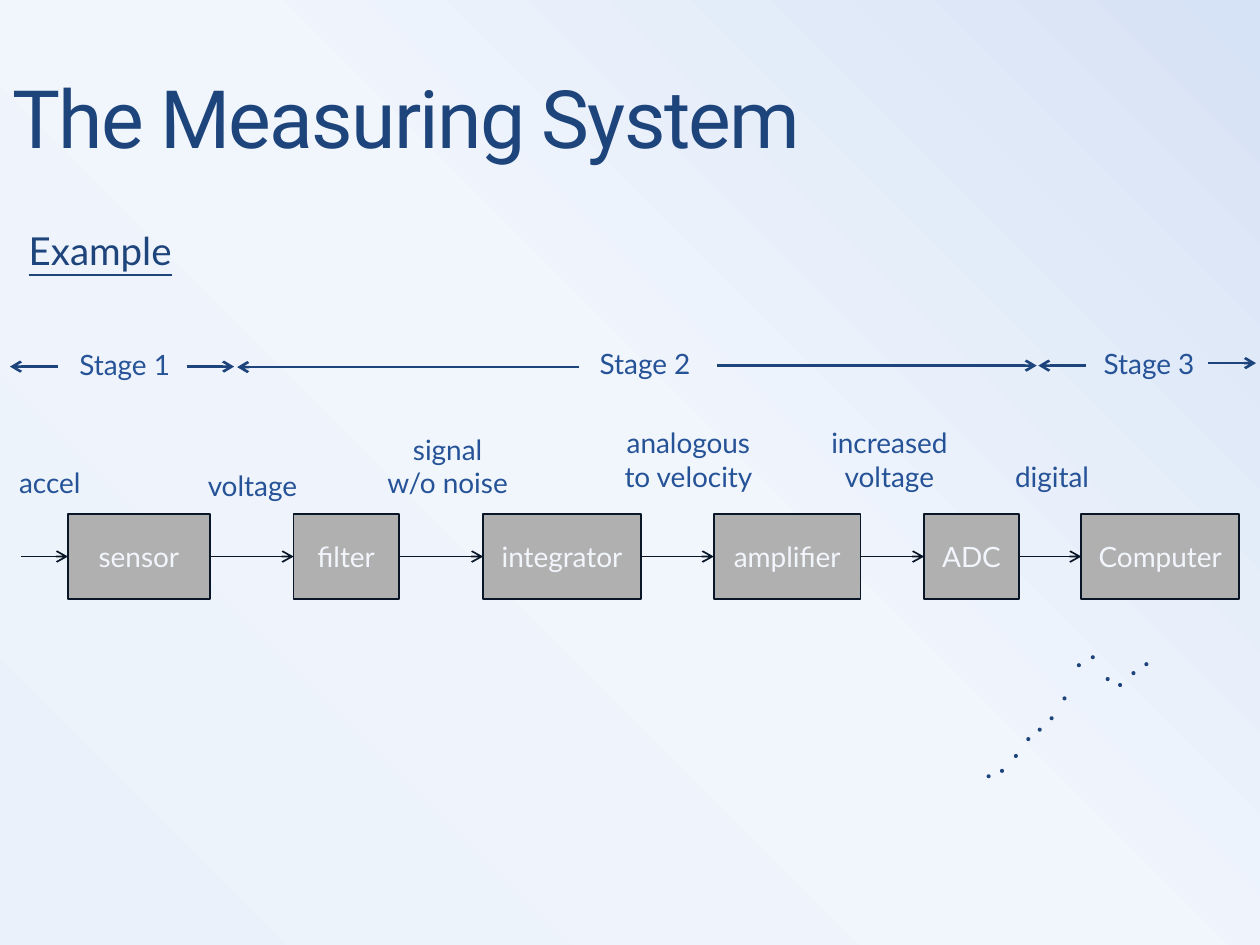
from dataclasses import dataclass
from itertools import pairwise
from pptx import Presentation
from pptx.dml.color import RGBColor
from pptx.enum.shapes import MSO_CONNECTOR as Link, MSO_SHAPE as Kind
from pptx.enum.text import MSO_ANCHOR as Anchor, MSO_AUTO_SIZE as Fit, PP_ALIGN as Align
from pptx.oxml import parse_xml
from pptx.oxml.ns import nsdecls, qn
from pptx.util import Cm, Pt


@dataclass(frozen=True)
class Theme:
    navy: str = "1E447C"
    blue: str = "265397"
    dark: str = "091628"
    pale: str = "F2F6FC"
    gray: str = "B0B0B0"
    stops: tuple = ((0, "EAF1FA"), (52, "F1F6FD"), (100, "D6E2F5"))
    head: str = "Roboto"
    body: str = "Lato"
    title: int = 46
    topic: int = 22
    label: int = 16


theme = Theme()


def write(frame, text, size, color, face=theme.body, align=Align.CENTER):
    frame.text = text
    for para in frame.paragraphs:
        para.alignment = align
        para.font.size = Pt(size)
        para.font.name = face
        para.font.color.rgb = RGBColor.from_string(color)


def arrow(start, end, y, color, width):
    line = slide.shapes.add_connector(Link.STRAIGHT, Cm(start), Cm(y), Cm(end), Cm(y))
    line.line.color.rgb = RGBColor.from_string(color)
    line.line.width = Pt(width)
    line.line._get_or_add_ln().append(parse_xml(f'<a:tailEnd {nsdecls("a")} type="arrow"/>'))
    line._element.spPr.append(parse_xml(f'<a:effectLst {nsdecls("a")}/>'))
    return line


deck = Presentation()
deck.slide_width, deck.slide_height = Cm(25.4), Cm(19.05)
slide = deck.slides.add_slide(deck.slide_layouts[5])

slide.background.fill.gradient()
grad = slide.element.find(".//" + qn("a:gradFill"))
stops = "".join(
    f'<a:gs pos="{pos * 1000}"><a:srgbClr val="{color}"/></a:gs>' for pos, color in theme.stops
)
grad.getparent().replace(grad, parse_xml(
    f'<a:gradFill {nsdecls("a")} rotWithShape="1"><a:gsLst>{stops}</a:gsLst>'
    '<a:path path="circle"><a:fillToRect t="100000" r="100000"/></a:path></a:gradFill>'
))

title = slide.shapes.title
title.left, title.top, title.width, title.height = Cm(0), Cm(0.76), Cm(21.16), Cm(3.18)
frame = title.text_frame
write(frame, "The Measuring System", theme.title, theme.navy, theme.head, Align.LEFT)
frame.auto_size = Fit.NONE
frame.vertical_anchor = Anchor.MIDDLE
frame.paragraphs[0].runs[0].font._element.set("spc", "-100")

topic = slide.shapes.add_textbox(Cm(0.33), Cm(4.45), Cm(20.83), Cm(1.2)).text_frame
topic.word_wrap = True
write(topic, "Example", theme.topic, theme.navy, align=Align.LEFT)
topic.paragraphs[0].font.underline = True

labels = [
    ("Stage 1", 1.32, 6.88, 2.39), ("Stage 2", 11.81, 6.86, 2.39), ("Stage 3", 21.97, 6.86, 2.39),
    ("accel", 0.13, 9.27, 1.75), ("voltage", 3.91, 9.32, 2.36),
    ("signal\nw/o noise", 7.54, 8.59, 2.97), ("analogous\nto velocity", 12.24, 8.46, 3.28),
    ("increased\nvoltage", 16.48, 8.46, 2.9), ("digital", 20.17, 9.14, 2.08),
]
for text, x, y, w in labels:
    high = 0.94 + 0.69 * text.count("\n")
    frame = slide.shapes.add_textbox(Cm(x), Cm(y), Cm(w), Cm(high)).text_frame
    frame.word_wrap = False
    frame.auto_size = Fit.SHAPE_TO_FIT_TEXT
    write(frame, text, theme.label, theme.blue)

top, high = 10.37, 1.7
mid = top + high / 2
steps = [
    ("sensor", 1.37, 2.86), ("filter", 5.92, 2.12), ("integrator", 9.74, 3.18),
    ("amplifier", 14.39, 2.96), ("ADC", 18.63, 1.91), ("Computer", 21.8, 3.18),
]
boxes = []
for text, x, w in steps:
    box = slide.shapes.add_shape(Kind.RECTANGLE, Cm(x), Cm(top), Cm(w), Cm(high))
    box.shadow.inherit = False
    box.fill.solid()
    box.fill.fore_color.rgb = RGBColor.from_string(theme.gray)
    box.line.color.rgb = RGBColor.from_string(theme.dark)
    box.line.width = Pt(1)
    box.text_frame.vertical_anchor = Anchor.MIDDLE
    write(box.text_frame, text, theme.label, theme.pale)
    boxes.append(box)

arrow(0.43, steps[0][1], mid, theme.dark, 1).end_connect(boxes[0], 1)
for a, b in pairwise(boxes):
    link = arrow(a.left.cm + a.width.cm, b.left.cm, mid, theme.dark, 1)
    link.begin_connect(a, 3)
    link.end_connect(b, 1)

spans = [
    (3.76, 4.72, 7.39), (1.17, 0.2, 7.39), (24.36, 25.32, 7.32),
    (21.89, 20.93, 7.37), (14.45, 20.9, 7.37), (11.68, 4.78, 7.4),
]
for start, end, y in spans:
    arrow(start, end, y, theme.navy, 1.5)

dots = [
    (19.89, 15.61), (20.16, 15.5), (20.44, 15.2), (20.69, 14.86), (20.92, 14.67),
    (21.16, 14.44), (21.42, 14.04), (21.71, 13.37), (21.99, 13.21), (22.29, 13.65),
    (22.54, 13.77), (22.81, 13.53), (23.07, 13.35),
]
curve = slide.shapes.add_group_shape()
for x, y in dots:
    dot = curve.shapes.add_shape(Kind.FLOWCHART_CONNECTOR, Cm(x), Cm(y), Cm(0.08), Cm(0.08))
    dot.shadow.inherit = False
    dot.fill.solid()
    dot.fill.fore_color.rgb = RGBColor.from_string(theme.navy)
    dot.line.fill.background()

deck.save("out.pptx")
